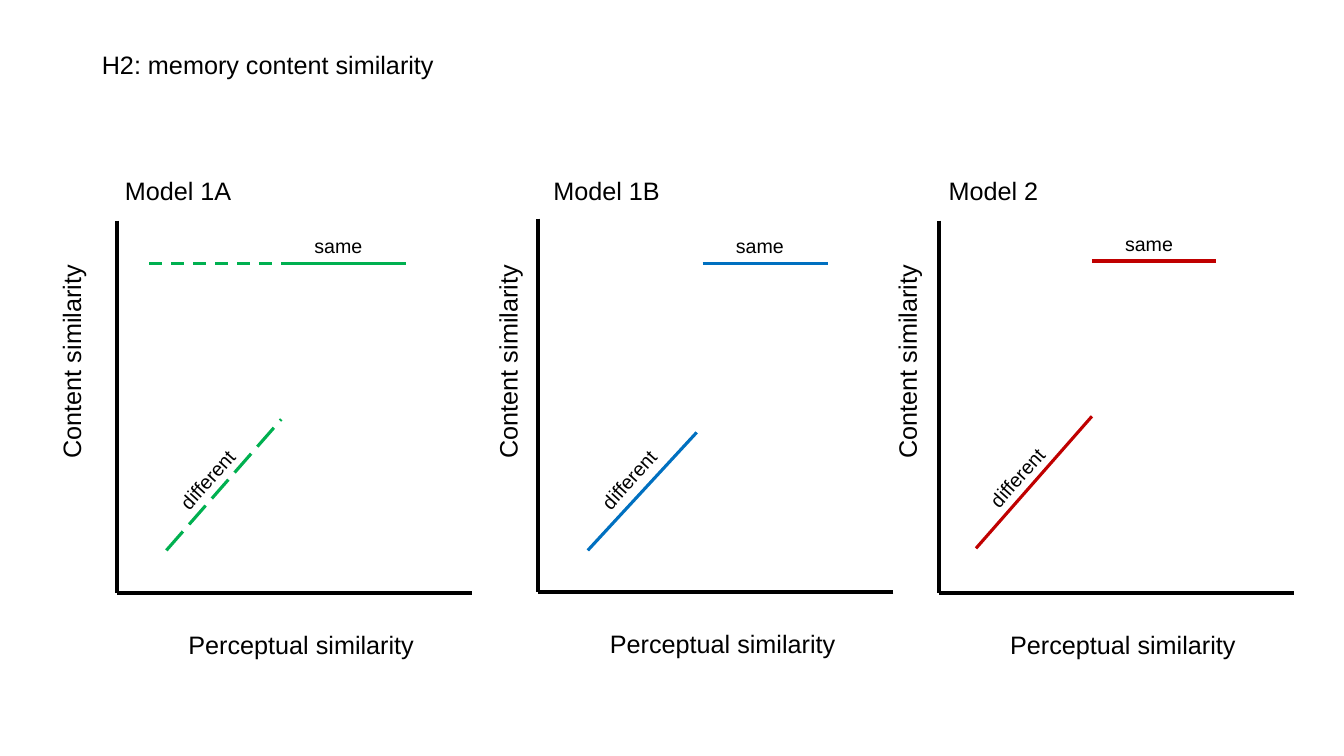
from dataclasses import dataclass

from lxml import etree
from pptx import Presentation
from pptx.dml.color import RGBColor
from pptx.enum.dml import MSO_LINE
from pptx.enum.shapes import MSO_CONNECTOR
from pptx.enum.text import MSO_ANCHOR, MSO_AUTO_SIZE, PP_ALIGN
from pptx.oxml.ns import qn
from pptx.util import Inches, Pt

STRAIGHT = MSO_CONNECTOR.STRAIGHT
DASH, LONG = MSO_LINE.DASH, MSO_LINE.LONG_DASH
TOP, LEFT = MSO_ANCHOR.TOP, PP_ALIGN.LEFT
NO_FIT = MSO_AUTO_SIZE.NONE

FONT = "Arial"
COLORS = {"black": "000000", "green": "00B050", "blue": "0070C0", "red": "C00000"}


@dataclass
class Model:
    name: str
    hue: str
    left: float  # axis origin
    top: float
    base: float
    head: float  # left of the model name
    side: float  # left of the upright label
    same: tuple  # x1, x2, y
    diff: tuple  # x1, y1, x2, y2
    dashed: bool = False


MODELS = [
    Model("Model 1A", "green", 1.16, 2.19, 5.88, 1.14, -0.38,
          (2.79, 4.03, 2.61), (1.65, 5.46, 2.79, 4.16), True),
    Model("Model 1B", "blue", 5.34, 2.17, 5.87, 5.39, 3.95,
          (6.97, 8.21, 2.61), (5.83, 5.46, 6.91, 4.29)),
    Model("Model 2", "red", 9.31, 2.19, 5.88, 9.31, 7.91,
          (10.83, 12.06, 2.59), (9.68, 5.44, 10.83, 4.13)),
]


def rgb(name):
    return RGBColor.from_string(COLORS[name])


def write(shape, text, size):
    frame = shape.text_frame
    frame.word_wrap = True
    frame.auto_size = NO_FIT
    frame.vertical_anchor = TOP
    para = frame.paragraphs[0]
    para.alignment = LEFT
    run = para.add_run()
    run.text = text
    run.font.name = FONT
    run.font.size = Pt(size)
    run.font.color.rgb = rgb("black")


def add_label(slide, text, x, y, w, h=0.4, size=18, turn=0):
    box = slide.shapes.add_textbox(Inches(x), Inches(y), Inches(w), Inches(h))
    box.rotation = turn
    write(box, text, size)


def add_line(slide, x1, y1, x2, y2, hue, width=2.25, dash=None):
    line = slide.shapes.add_connector(
        STRAIGHT, Inches(x1), Inches(y1), Inches(x2), Inches(y2))
    line.line.color.rgb = rgb(hue)
    line.line.width = Pt(width)
    if dash:
        line.line.dash_style = dash
    etree.SubElement(line._element.spPr, qn("a:effectLst"))


def add_title(slide, text):
    title = slide.shapes.title
    title.left, title.top = Inches(0.91), Inches(0.44)
    title.width, title.height = Inches(6.84), Inches(0.4)
    write(title, text, 18)


def add_axes(slide, model):
    left, base = model.left, model.base
    add_line(slide, left, model.top, left, base, "black", 3)
    add_line(slide, left + 3.52, base, left, base, "black", 3)
    add_label(slide, model.name, model.head, 1.69, 2.08)
    add_label(slide, "Content similarity", model.side, 3.36, 2.17, turn=270)
    add_label(slide, "Perceptual similarity", left + 0.61, base + 0.31, 2.91)


def add_trends(slide, model):
    # Level line for the same content
    x1, x2, y = model.same
    add_line(slide, x1, y, x2, y, model.hue)
    add_label(slide, "same", x1 + 0.23, y - 0.34, 0.87, 0.34, 14)
    if model.dashed:
        add_line(slide, 1.48, y, 2.75, y, model.hue, dash=DASH)

    # Rising line for different content
    x, y = model.diff[:2]
    add_line(slide, *model.diff, model.hue, dash=LONG if model.dashed else None)
    add_label(slide, "different", x - 0.08, y - 0.96, 1.14, 0.34, 14, 312.1)


def main():
    deck = Presentation()
    deck.slide_width, deck.slide_height = Inches(13.33), Inches(7.5)
    slide = deck.slides.add_slide(deck.slide_layouts[5])
    add_title(slide, "H2: memory content similarity")
    for model in MODELS:
        add_axes(slide, model)
        add_trends(slide, model)
    deck.save("out.pptx")


if __name__ == "__main__":
    main()
